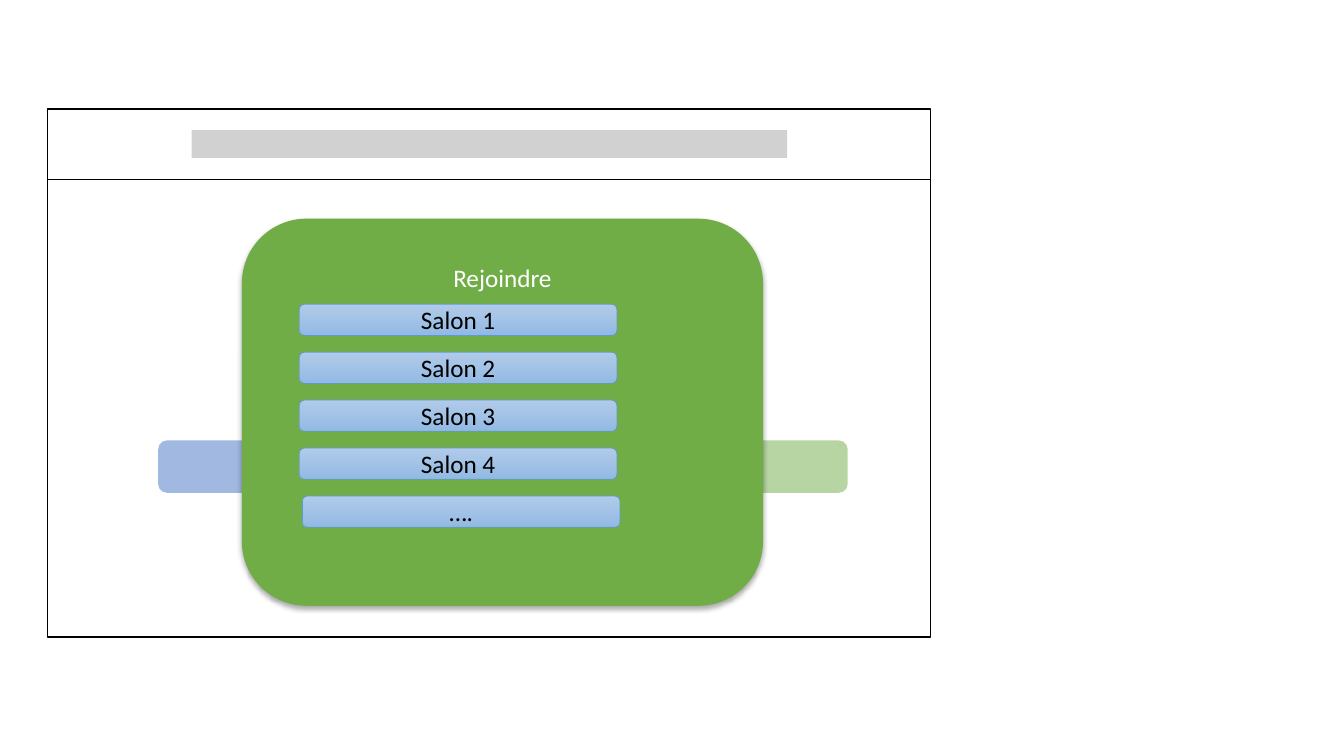
from lxml import etree
from pptx import Presentation
from pptx.dml.color import RGBColor
from pptx.enum.shapes import MSO_CONNECTOR, MSO_SHAPE
from pptx.enum.text import MSO_ANCHOR, PP_ALIGN
from pptx.oxml.ns import qn
from pptx.util import Pt

RECT, ROUND = MSO_SHAPE.RECTANGLE, MSO_SHAPE.ROUNDED_RECTANGLE
STRAIGHT = MSO_CONNECTOR.STRAIGHT
CENTER, TOP, MIDDLE = PP_ALIGN.CENTER, MSO_ANCHOR.TOP, MSO_ANCHOR.MIDDLE

# Content
HEADING = "Rejoindre"
ROOMS = ["Salon 1", "Salon 2", "Salon 3", "Salon 4", "…."]

THEME = {
    "font": "Calibri", "size": 18,
    "white": "FFFFFF", "black": "000000",
    "grey": "A5A5A5", "blue": "4472C4", "green": "70AD47",
    "room_top": "B1CBE9", "room_bottom": "93B9E4", "room_line": "5B9BD5",
}

# Layout: left, top, width, height
FRAME = (33.84, 77.9, 630.72, 377.1)
HEADER_HEIGHT = 50.2
TITLE_BAR = (136.8, 92.9, 425.5, 20)
BUTTONS = [("blue", 113.04), ("green", 406.8)]
BUTTON_TOP, BUTTON_SIZE = 314.6, (198.72, 37.4)
PANEL = (172.8, 156.24, 372.24, 276.48)
ROOM_LEFT, LAST_ROOM_LEFT, ROOM_TOP = 213.84, 216, 217.3
ROOM_SIZE, ROOM_PITCH = (226.8, 22.3), 34.25


def color(name):
    return RGBColor.from_string(THEME[name])


def add_box(s, kind, box, fill=None, alpha=None, line=None, width=1):
    sp = s.shapes.add_shape(kind, *map(Pt, box))
    sp.shadow.inherit = False
    if fill:
        sp.fill.solid()
        sp.fill.fore_color.rgb = color(fill)
    if alpha:
        clr = sp._element.spPr.find(qn("a:solidFill"))[0]
        etree.SubElement(clr, qn("a:alpha"), val=str(alpha * 1000))
    if line:
        sp.line.color.rgb = color(line)
        sp.line.width = Pt(width)
    else:
        sp.line.fill.background()
    return sp


def write(sp, text, ink, **frame_format):
    tf = sp.text_frame
    for name, value in frame_format.items():
        setattr(tf, name, value)
    p = tf.paragraphs[0]
    p.alignment = CENTER
    r = p.add_run()
    r.text = text
    for name, value in {"name": THEME["font"], "size": Pt(THEME["size"])}.items():
        setattr(r.font, name, value)
    r.font.color.rgb = color(ink)


def add_shadow(sp):
    effects = sp._element.spPr.find(qn("a:effectLst"))
    shadow = etree.SubElement(effects, qn("a:outerShdw"), blurRad=str(Pt(3.5)),
                              dist=str(Pt(2.2)), dir="5400000", rotWithShape="0")
    clr = etree.SubElement(shadow, qn("a:srgbClr"), val=THEME["black"])
    etree.SubElement(clr, qn("a:alpha"), val="32000")


def add_room(s, index, name):
    left = LAST_ROOM_LEFT if index == len(ROOMS) - 1 else ROOM_LEFT
    box = (left, ROOM_TOP + index * ROOM_PITCH, *ROOM_SIZE)
    sp = add_box(s, ROUND, box, line="room_line", width=0.5)
    sp.fill.gradient()
    sp.fill.gradient_angle = 270
    for stop, shade in zip(sp.fill.gradient_stops, ("room_top", "room_bottom")):
        stop.color.rgb = color(shade)
    write(sp, name, "black", vertical_anchor=MIDDLE)


def main():
    prs = Presentation()
    prs.slide_width, prs.slide_height = Pt(960), Pt(540)
    s = prs.slides.add_slide(prs.slide_layouts[6])

    # Window frame, header rule and title bar
    add_box(s, RECT, FRAME, "white", line="black")
    left, top, width, _ = FRAME
    y = top + HEADER_HEIGHT
    rule = s.shapes.add_connector(STRAIGHT, *map(Pt, (left, y, left + width, y)))
    rule.line.color.rgb = color("black")
    rule.line.width = Pt(1)
    etree.SubElement(rule._element.spPr, qn("a:effectLst"))
    add_box(s, RECT, TITLE_BAR, "grey", alpha=50)

    # Faded buttons behind the panel
    for fill, x in BUTTONS:
        add_box(s, ROUND, (x, BUTTON_TOP, *BUTTON_SIZE), fill, alpha=50)

    # Join panel with its rooms
    panel = add_box(s, ROUND, PANEL, "green")
    add_shadow(panel)
    write(panel, HEADING, "white", vertical_anchor=TOP, margin_top=Pt(18))
    for index, name in enumerate(ROOMS):
        add_room(s, index, name)

    prs.save("out.pptx")


if __name__ == "__main__":
    main()
